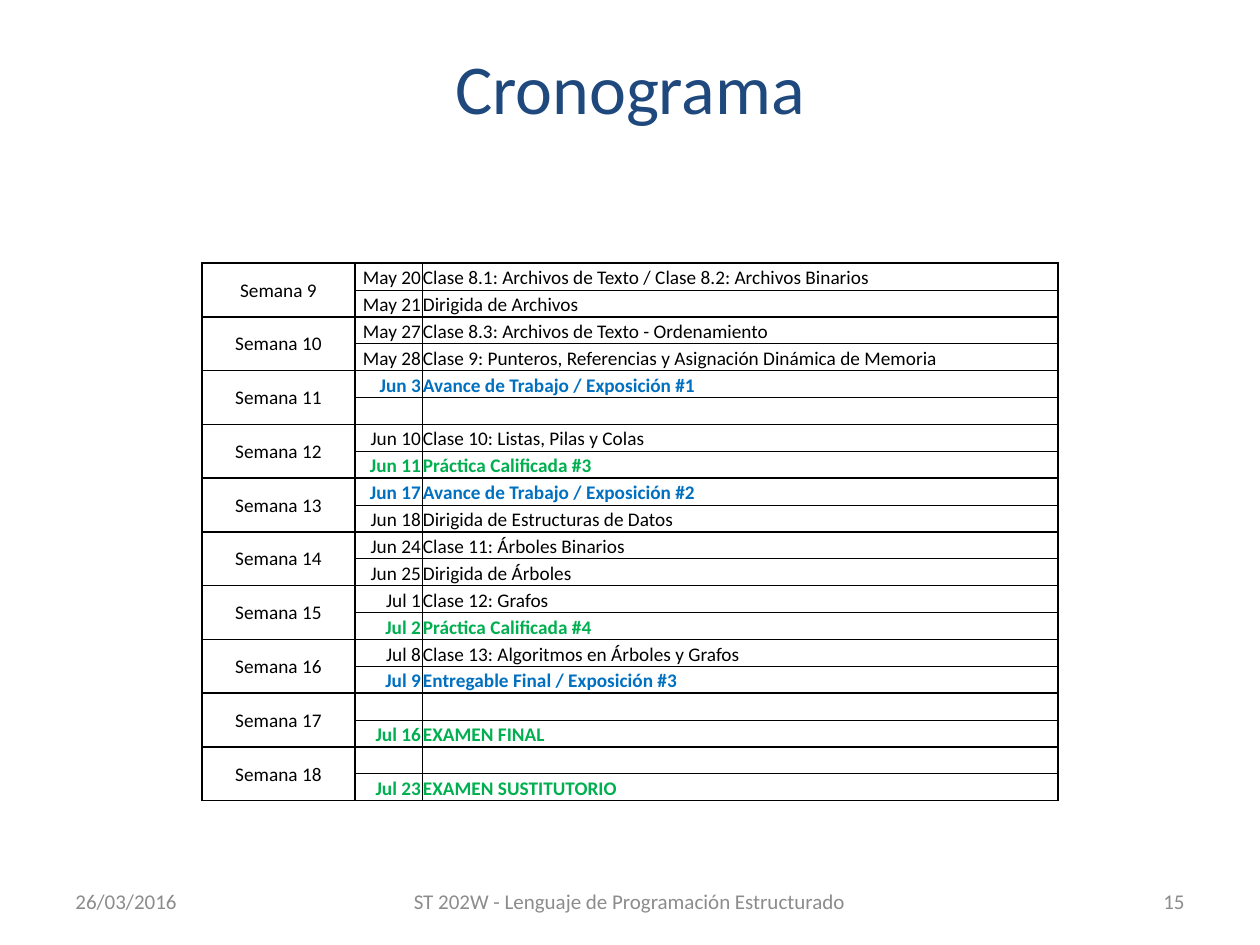
"""Builds the course schedule slide."""
from dataclasses import dataclass

from lxml import etree
from pptx import Presentation
from pptx.dml.color import RGBColor
from pptx.enum.text import MSO_ANCHOR, PP_ALIGN
from pptx.oxml.ns import qn
from pptx.util import Emu, Pt

LEFT, MID, RIGHT = PP_ALIGN.LEFT, PP_ALIGN.CENTER, PP_ALIGN.RIGHT
TOP, CENTER, BOTTOM = MSO_ANCHOR.TOP, MSO_ANCHOR.MIDDLE, MSO_ANCHOR.BOTTOM
SCALE = 914400 / 126
THIN, THICK = 0.5, 1


@dataclass(frozen=True)
class Theme:
    font: str = "Calibri"
    title: str = "1F497D"
    foot: str = "8C8C8C"
    ink: str = "000000"
    work: str = "0070C0"
    exam: str = "00B050"
    big: int = 40
    small: int = 12
    cell: int = 11


THEME = Theme()
INK, WORK, EXAM = THEME.ink, THEME.work, THEME.exam
NONE = ("", "", INK)
WEEKS = [
    (("May 20", "Clase 8.1: Archivos de Texto / Clase 8.2: Archivos Binarios", INK),
     ("May 21", "Dirigida de Archivos", INK)),
    (("May 27", "Clase 8.3: Archivos de Texto - Ordenamiento", INK),
     ("May 28", "Clase 9: Punteros, Referencias y Asignación Dinámica de Memoria", INK)),
    (("Jun 3", "Avance de Trabajo / Exposición #1", WORK), NONE),
    (("Jun 10", "Clase 10: Listas, Pilas y Colas", INK),
     ("Jun 11", "Práctica Calificada #3", EXAM)),
    (("Jun 17", "Avance de Trabajo / Exposición #2", WORK),
     ("Jun 18", "Dirigida de Estructuras de Datos", INK)),
    (("Jun 24", "Clase 11: Árboles Binarios", INK),
     ("Jun 25", "Dirigida de Árboles", INK)),
    (("Jul 1", "Clase 12: Grafos", INK),
     ("Jul 2", "Práctica Calificada #4", EXAM)),
    (("Jul 8", "Clase 13: Algoritmos en Árboles y Grafos", INK),
     ("Jul 9", "Entregable Final / Exposición #3", WORK)),
    (NONE, ("Jul 16", "EXAMEN FINAL", EXAM)),
    (NONE, ("Jul 23", "EXAMEN SUSTITUTORIO", EXAM)),
]
FIRST = 9


def px(num):
    return Emu(round(num * SCALE))


class Deck:
    def __init__(self, theme, wide, high):
        self.theme = theme
        self.prs = Presentation()
        self.prs.slide_width, self.prs.slide_height = px(wide), px(high)
        self.slide = self.prs.slides.add_slide(self.prs.slide_layouts[6])

    def style(self, para, size, color, align, bold=False):
        para.alignment = align
        font = para.font
        font.name, font.size, font.bold = self.theme.font, Pt(size), bold
        font.color.rgb = RGBColor.from_string(color)

    def text(self, box, words, size, color, align, anchor=CENTER):
        frame = self.slide.shapes.add_textbox(*map(px, box)).text_frame
        frame.word_wrap = True
        frame.vertical_anchor = anchor
        para = frame.paragraphs[0]
        para.text = words
        self.style(para, size, color, align)

    def edges(self, cell, widths):
        props = cell._tc.get_or_add_tcPr()
        for side, width in zip("LRTB", widths):
            line = etree.SubElement(props, qn(f"a:ln{side}"), w=str(Pt(width)))
            fill = etree.SubElement(line, qn("a:solidFill"))
            etree.SubElement(fill, qn("a:srgbClr"), val=self.theme.ink)

    def cell(self, cell, words, color, align, anchor, widths):
        self.edges(cell, widths)
        cell.fill.background()
        cell.vertical_anchor = anchor
        cell.margin_left = cell.margin_right = cell.margin_top = px(1)
        cell.margin_bottom = 0
        para = cell.text_frame.paragraphs[0]
        para.text = words
        self.style(para, self.theme.cell, color, align, color != self.theme.ink)
        if not words:
            etree.SubElement(para._p, qn("a:endParaRPr"), sz=str(self.theme.cell * 100))

    def table(self, left, top, cols, high, weeks, first):
        count = 2 * len(weeks)
        box = map(px, (left, top, sum(cols), high))
        grid = self.slide.shapes.add_table(count, len(cols), *box).table
        grid.first_row = grid.horz_banding = False
        for col, wide in zip(grid.columns, cols):
            col.width = px(wide)
        for row in grid.rows:
            row.height = px(high / count)
        for num, week in enumerate(weeks):
            for half, (date, topic, color) in enumerate(week):
                row = 2 * num + half
                ends = (THIN, THICK) if half else (THICK, THIN)
                name = "" if half else f"Semana {first + num}"
                self.cell(grid.cell(row, 0), name, self.theme.ink, MID, CENTER, [THICK] * 4)
                self.cell(grid.cell(row, 1), date, color, RIGHT, BOTTOM, (THICK, THIN, *ends))
                self.cell(grid.cell(row, 2), topic, color, LEFT, BOTTOM, (THIN, THICK, *ends))
            grid.cell(2 * num, 0).merge(grid.cell(2 * num + 1, 0))

    def save(self):
        self.prs.save("out.pptx")


def main():
    deck = Deck(THEME, 1260, 945)
    feet = [
        (63, 294, "26/03/2016", LEFT),
        (388, 483, "ST 202W - Lenguaje de Programación Estructurado", MID),
        (903, 294, "15", RIGHT),
    ]
    for left, wide, words, align in feet:
        deck.text((left, 876, wide, 50), words, THEME.small, THEME.foot, align)
    deck.text((63, 38, 1134, 158), "Cronograma", THEME.big, THEME.title, MID, TOP)
    deck.table(202, 263, (153, 67, 636), 538, WEEKS, FIRST)
    deck.save()


if __name__ == "__main__":
    main()
